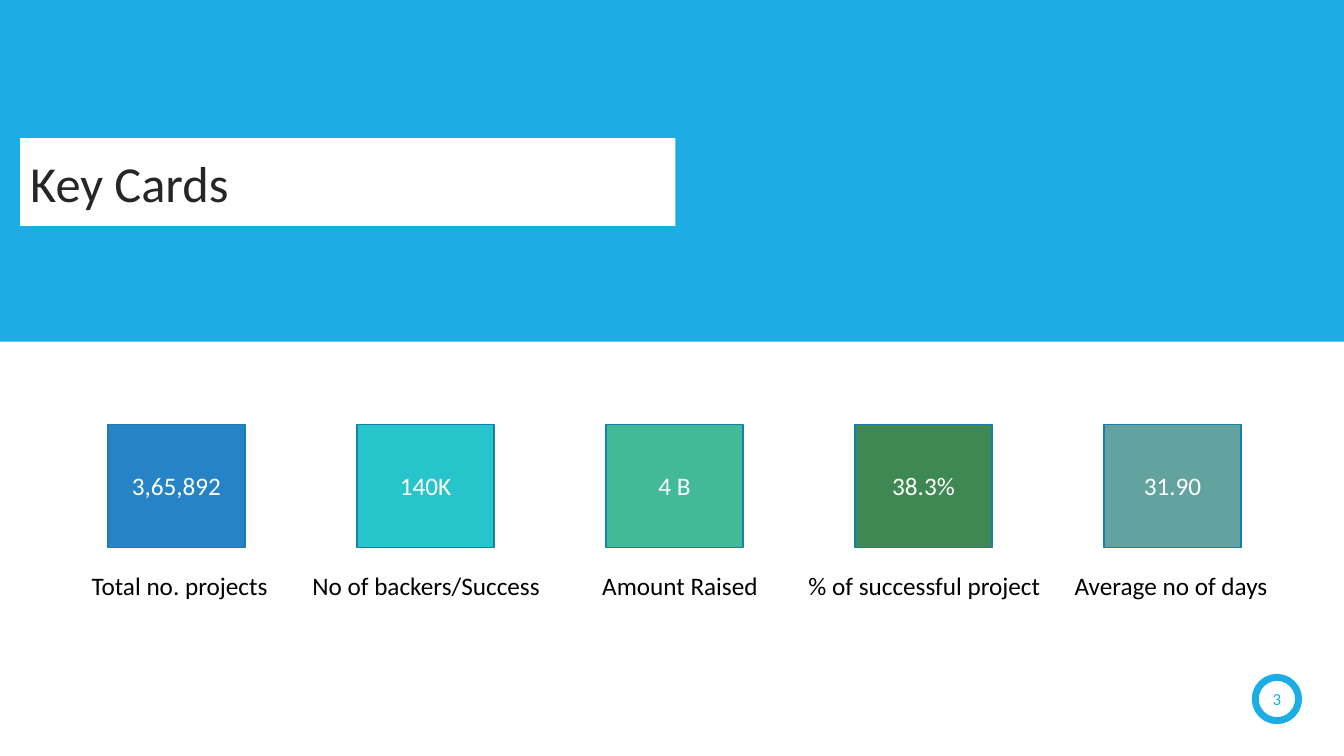
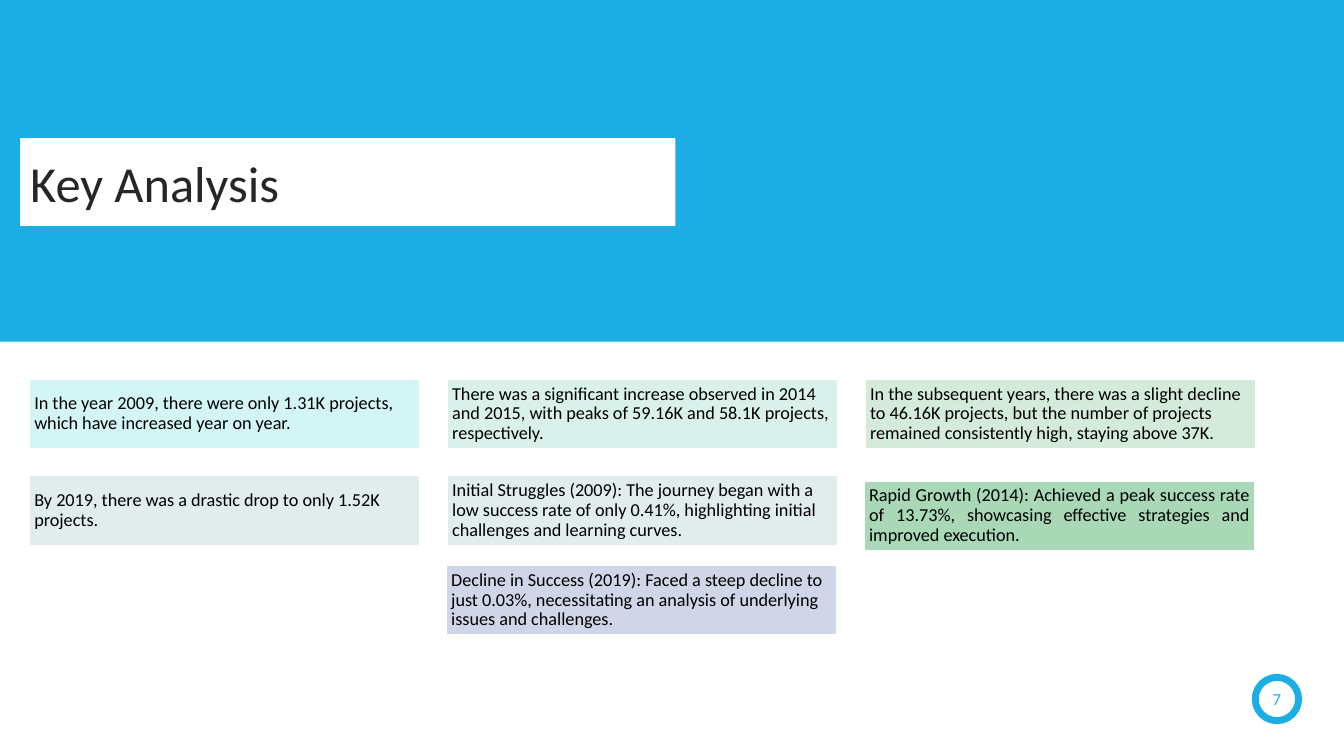
from dataclasses import dataclass
from typing import Any

import pptx
import pptx.dml.color
import pptx.enum.shapes
import pptx.enum.text
import pptx.util

Inches = pptx.util.Inches
Pt = pptx.util.Pt
Align = pptx.enum.text.PP_ALIGN
Anchor = pptx.enum.text.MSO_ANCHOR
Preset = pptx.enum.shapes.MSO_SHAPE

SLIDE_W, SLIDE_H = 13.33, 7.5
BAND_SHARE = 0.452
FONT = "Calibri"
COLORS = {
    "accent": "1CADE4",
    "card_edge": "1580A9",
    "white": "FFFFFF",
    "black": "000000",
    "title": "262626",
    "blue": "2683C6",
    "turquoise": "28C4CC",
    "mint": "42BA97",
    "green": "3E8853",
    "teal": "62A39F",
    "pale_turquoise": "D3F5F6",
    "pale_mint": "D9F1EA",
    "pale_green": "D4EBDB",
    "pale_teal": "E0EDEC",
    "soft_green": "A9D8B7",
    "lavender": "D0D5E7",
}


@dataclass(frozen=True)
class Box:
    left: float
    top: float
    width: float
    height: float

    def emu(self) -> tuple[int, ...]:
        return tuple(Inches(v) for v in (self.left, self.top, self.width, self.height))


@dataclass(frozen=True)
class TextStyle:
    size: float
    color: str
    align: Align = Align.LEFT
    margin: float | None = None
    line_spacing: float | None = None


@dataclass(frozen=True)
class KeyCard:
    value: str
    label: str
    fill: str
    label_left: float
    label_width: float = 2.17
    label_align: Align = Align.LEFT


@dataclass(frozen=True)
class Finding:
    """A text tile on the grid; shift moves it off its cell, in inches."""

    col: int
    row: int
    fill: str
    text: str
    align: Align = Align.LEFT
    shift: tuple[float, float] = (0, 0)


TITLE_BOX = Box(0.2, 1.37, 6.5, 0.87)
BADGE_BOX = Box(12.45, 6.72, 0.43, 0.43)
CARD_ORIGIN = Box(1.07, 4.21, 1.36, 1.22)
CARD_PITCH = 2.47
LABEL_TOP, LABEL_HEIGHT = 5.61, 0.4
TILE_ORIGIN = Box(0.29, 3.76, 3.87, 0.69)
TILE_PITCH_X, TILE_PITCH_Y = 4.145, 0.96

TITLE_STYLE = TextStyle(36, "title")
BADGE_STYLE = TextStyle(12, "accent", Align.CENTER, margin=0)
VALUE_STYLE = TextStyle(18, "white", Align.CENTER)

CARDS = [
    KeyCard("3,65,892", "Total no. projects", "blue", 0.81),
    KeyCard("140K", "No of backers/Success", "turquoise", 3.0, 2.71),
    KeyCard("4 B", "Amount Raised", "mint", 5.66, label_align=Align.CENTER),
    KeyCard("38.3%", "% of successful project", "green", 7.92, 2.61),
    KeyCard("31.90", "Average no of days", "teal", 10.56),
]

FINDINGS = [
    Finding(0, 0, "pale_turquoise",
            "In the year 2009, there were only 1.31K projects, which have "
            "increased year on year."),
    Finding(1, 0, "pale_mint",
            "There was a significant increase observed in 2014 and 2015, with "
            "peaks of 59.16K and 58.1K projects, respectively."),
    Finding(2, 0, "pale_green",
            "In the subsequent years, there was a slight decline to 46.16K "
            "projects, but the number of projects remained consistently high, "
            "staying above 37K."),
    Finding(0, 1, "pale_teal",
            "By 2019, there was a drastic drop to only 1.52K projects."),
    Finding(1, 1, "pale_teal",
            "Initial Struggles (2009): The journey began with a low success rate "
            "of only 0.41%, highlighting initial challenges and learning curves."),
    Finding(2, 1, "soft_green",
            "Rapid Growth (2014): Achieved a peak success rate of 13.73%, "
            "showcasing effective strategies and improved execution.",
            Align.JUSTIFY, (-0.01, 0.05)),
    Finding(1, 2, "lavender",
            "Decline in Success (2019): Faced a steep decline to just 0.03%, "
            "necessitating an analysis of underlying issues and challenges.",
            shift=(-0.01, -0.07)),
]


def rgb(name: str) -> pptx.dml.color.RGBColor:
    return pptx.dml.color.RGBColor.from_string(COLORS[name])


def set_all(target: Any, values: dict[str, Any]) -> None:
    for attribute, value in values.items():
        setattr(target, attribute, value)


def write(shape: Any, text: str, style: TextStyle, anchor: Anchor = Anchor.MIDDLE) -> None:
    frame = shape.text_frame
    frame.text = text
    set_all(frame, {
        "word_wrap": True,
        "auto_size": pptx.enum.text.MSO_AUTO_SIZE.NONE,
        "vertical_anchor": anchor,
    })
    if style.margin is not None:
        sides = ("left", "top", "right", "bottom")
        set_all(frame, {f"margin_{side}": Inches(style.margin) for side in sides})
    paragraph = frame.paragraphs[0]
    set_all(paragraph, {"alignment": style.align, "line_spacing": style.line_spacing})
    font = paragraph.runs[0].font
    set_all(font, {"name": FONT, "size": Pt(style.size)})
    font.color.rgb = rgb(style.color)


def add_block(slide: Any, box: Box, fill: str, line: str | None = None,
              line_width: float = 1, preset: Preset = Preset.RECTANGLE) -> Any:
    block = slide.shapes.add_shape(preset, *box.emu())
    block.shadow.inherit = False
    block.fill.solid()
    block.fill.fore_color.rgb = rgb(fill)
    if line:
        block.line.color.rgb = rgb(line)
        block.line.width = Pt(line_width)
    else:
        block.line.fill.background()
    return block


def add_titled_slide(deck: Any, layout: Any, title: str, number: int) -> Any:
    slide = deck.slides.add_slide(layout)
    heading = slide.shapes.title
    set_all(heading, dict(zip(("left", "top", "width", "height"), TITLE_BOX.emu())))
    heading.fill.solid()
    heading.fill.fore_color.rgb = rgb("white")
    write(heading, title, TITLE_STYLE)
    badge = add_block(slide, BADGE_BOX, "white", "accent", 5, Preset.OVAL)
    write(badge, str(number), BADGE_STYLE)
    return slide


def move_band_to_layout(slide: Any, layout: Any) -> None:
    """Draw the top band once and let every slide inherit it from the layout."""
    band = add_block(slide, Box(0, 0, SLIDE_W, SLIDE_H * BAND_SHARE), "accent")
    layout.shapes.element.insert(2, band.element)


def add_key_card(slide: Any, index: int, card: KeyCard) -> None:
    origin = CARD_ORIGIN
    box = Box(origin.left + index * CARD_PITCH, origin.top, origin.width, origin.height)
    write(add_block(slide, box, card.fill, "card_edge"), card.value, VALUE_STYLE)
    label_box = Box(card.label_left, LABEL_TOP, card.label_width, LABEL_HEIGHT)
    label = slide.shapes.add_textbox(*label_box.emu())
    write(label, card.label, TextStyle(18, "black", card.label_align), Anchor.TOP)


def add_finding(slide: Any, finding: Finding) -> None:
    shift_x, shift_y = finding.shift
    box = Box(TILE_ORIGIN.left + finding.col * TILE_PITCH_X + shift_x,
              TILE_ORIGIN.top + finding.row * TILE_PITCH_Y + shift_y,
              TILE_ORIGIN.width, TILE_ORIGIN.height)
    style = TextStyle(13, "black", finding.align, margin=0.05, line_spacing=0.9)
    write(add_block(slide, box, finding.fill, "white"), finding.text, style)


def main() -> None:
    deck = pptx.Presentation()
    set_all(deck, {"slide_width": Inches(SLIDE_W), "slide_height": Inches(SLIDE_H)})
    layout = deck.slide_layouts.get_by_name("Title Only")

    cards_slide = add_titled_slide(deck, layout, "Key Cards", 3)
    move_band_to_layout(cards_slide, layout)
    for index, card in enumerate(CARDS):
        add_key_card(cards_slide, index, card)

    analysis_slide = add_titled_slide(deck, layout, "Key Analysis", 7)
    for finding in FINDINGS:
        add_finding(analysis_slide, finding)

    deck.save("out.pptx")


if __name__ == "__main__":
    main()
